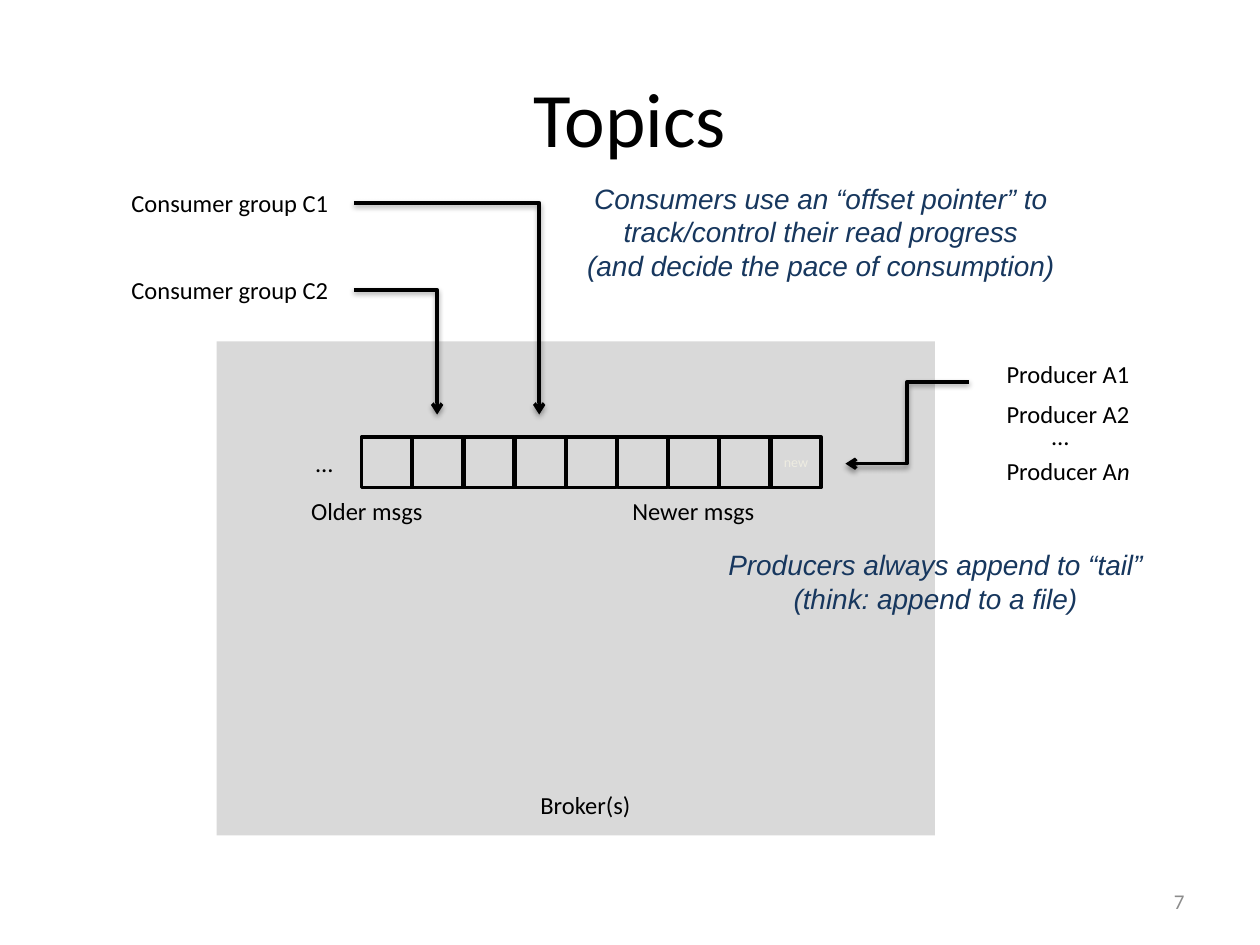
from lxml.etree import SubElement
from pptx import Presentation
from pptx.dml.color import RGBColor
from pptx.enum.shapes import MSO_CONNECTOR, MSO_SHAPE
from pptx.enum.text import MSO_ANCHOR, PP_ALIGN
from pptx.oxml.ns import qn
from pptx.util import Inches, Pt

BLACK, NAVY, GRAY, PANEL, FAINT = "000000", "17375E", "8C8C8C", "D9D9D9", "EEECE1"
LEFT, CENTER, RIGHT = PP_ALIGN.LEFT, PP_ALIGN.CENTER, PP_ALIGN.RIGHT

BROKER_BOX = (1.72, 2.71, 5.7, 3.92)
CELL_COUNT, CELL_LEFT, CELL_TOP, CELL_SIZE, CELL_PITCH = 9, 2.87, 3.47, 0.4, 0.406

# text, left, top, width, height, alignment
LABELS = [
    ("Broker(s)", 4.19, 6.22, 1.01, 0.31, LEFT),
    ("Producer A1", 7.89, 2.8, 1.28, 0.34, LEFT),
    ("Producer A2", 7.89, 3.12, 1.28, 0.34, LEFT),
    ("…", 8.25, 3.29, 0.4, 0.34, LEFT),
    ("…", 2.41, 3.51, 0.4, 0.34, LEFT),
    ("Older msgs", 2.37, 3.89, 1.21, 0.34, LEFT),
    ("Newer msgs", 4.92, 3.89, 1.29, 0.34, LEFT),
    ("Consumer group C1", 0.84, 1.44, 1.97, 0.34, CENTER),
    ("Consumer group C2", 0.84, 2.13, 1.97, 0.34, CENTER),
]
# lines, left, top, width, height
NOTES = [
    (["Consumers use an “offset pointer” to", "track/control their read progress",
      "(and decide the pace of consumption)"], 4.51, 1.39, 4.01, 0.91),
    (["Producers always append to “tail”", "(think: append to a file)"],
     5.63, 4.3, 3.59, 0.64),
]
# start x, start y, end x, end y, preset
ARROWS = [
    (7.69, 3.03, 6.71, 3.68, "bentConnector3"),
    (2.81, 1.61, 4.28, 3.29, "bentConnector2"),
    (2.81, 2.3, 3.47, 3.29, "bentConnector2"),
]


def color(value):
    """Turn a hex string into a colour."""
    return RGBColor.from_string(value)


def add_run(paragraph, text, size, ink=BLACK, font="Calibri", italic=False):
    """Append one formatted run."""
    run = paragraph.add_run()
    run.text = text
    run.font.size = Pt(size)
    run.font.name = font
    run.font.italic = italic
    run.font.color.rgb = color(ink)


def add_text(slide, lines, box, size, align=LEFT, anchor=MSO_ANCHOR.TOP, **style):
    """Add a text box with one paragraph per line and return its frame."""
    frame = slide.shapes.add_textbox(*map(Inches, box)).text_frame
    frame.word_wrap = True
    frame.vertical_anchor = anchor
    for index, line in enumerate(lines):
        paragraph = frame.add_paragraph() if index else frame.paragraphs[0]
        paragraph.alignment = align
        add_run(paragraph, line, size, **style)
    return frame


def add_rectangle(slide, box, fill=None, line=None):
    """Add a flat rectangle with an optional fill and outline."""
    shape = slide.shapes.add_shape(MSO_SHAPE.RECTANGLE, *map(Inches, box))
    shape.shadow.inherit = False
    if fill:
        shape.fill.solid()
        shape.fill.fore_color.rgb = color(fill)
    else:
        shape.fill.background()
    if line:
        shape.line.color.rgb = color(line)
        shape.line.width = Pt(2)
    else:
        shape.line.fill.background()
    return shape


def add_arrow(slide, start_x, start_y, end_x, end_y, preset):
    """Add a bent arrow with a soft shadow below it."""
    points = map(Inches, (start_x, start_y, end_x, end_y))
    arrow = slide.shapes.add_connector(MSO_CONNECTOR.ELBOW, *points)
    arrow.line.color.rgb = color(BLACK)
    arrow.line.width = Pt(2)
    properties = arrow._element.spPr
    properties.find(qn("a:prstGeom")).set("prst", preset)
    SubElement(properties.find(qn("a:ln")), qn("a:tailEnd"), type="arrow")
    effects = SubElement(properties, qn("a:effectLst"))
    shadow = SubElement(effects, qn("a:outerShdw"), blurRad="40000", dist="20000",
                        dir="5400000", rotWithShape="0")
    tint = SubElement(shadow, qn("a:srgbClr"), val=BLACK)
    SubElement(tint, qn("a:alpha"), val="38000")


presentation = Presentation()
presentation.slide_width, presentation.slide_height = Inches(10), Inches(7.5)
slide = presentation.slides.add_slide(presentation.slide_layouts[6])

add_rectangle(slide, BROKER_BOX, fill=PANEL)
add_text(slide, ["Topics"], (0.5, 0.3, 9, 1.25), 44, CENTER, MSO_ANCHOR.MIDDLE)
add_text(slide, ["7"], (7.17, 6.95, 2.33, 0.4), 12, RIGHT, MSO_ANCHOR.MIDDLE, ink=GRAY)

for index in range(CELL_COUNT):
    left = CELL_LEFT + index * CELL_PITCH
    cell = add_rectangle(slide, (left, CELL_TOP, CELL_SIZE, CELL_SIZE), line=BLACK)
newest = cell.text_frame
newest.margin_left = newest.margin_right = 0
newest.vertical_anchor = MSO_ANCHOR.MIDDLE
newest.paragraphs[0].alignment = CENTER
add_run(newest.paragraphs[0], "new", 8, FAINT)

for text, *box, align in LABELS:
    add_text(slide, [text], box, 14, align)
last_producer = add_text(slide, ["Producer A"], (7.89, 3.57, 1.32, 0.34), 14)
add_run(last_producer.paragraphs[0], "n", 14, italic=True)
for lines, *box in NOTES:
    add_text(slide, lines, box, 16, CENTER, ink=NAVY, font="Arial", italic=True)
for arrow in ARROWS:
    add_arrow(slide, *arrow)

presentation.save("out.pptx")
